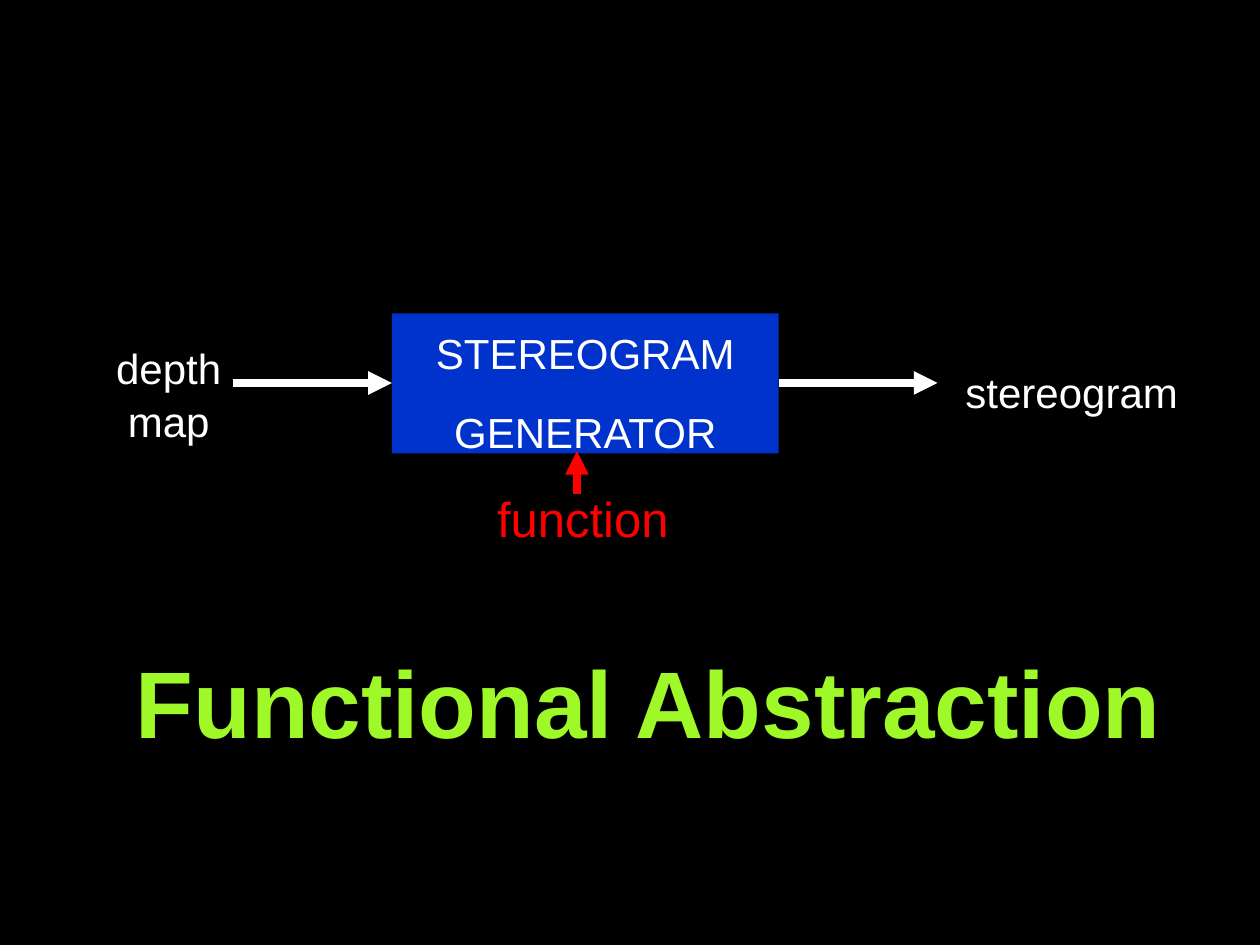
from dataclasses import dataclass

from lxml import etree
from pptx import Presentation
from pptx.dml.color import RGBColor
from pptx.enum.shapes import MSO_CONNECTOR, MSO_SHAPE
from pptx.enum.text import MSO_ANCHOR, PP_ALIGN
from pptx.oxml.ns import qn
from pptx.util import Cm, Pt

RECTANGLE = MSO_SHAPE.RECTANGLE
STRAIGHT = MSO_CONNECTOR.STRAIGHT
TOP = MSO_ANCHOR.TOP
LEFT = PP_ALIGN.LEFT
CENTER = PP_ALIGN.CENTER


@dataclass(frozen=True)
class Theme:
    font: str = "Arial"
    background: str = "000000"
    text: str = "FFFFFF"
    block: str = "0033CC"
    accent: str = "FF0000"
    title: str = "9FF828"
    label_size: int = 24
    accent_size: int = 28
    title_size: int = 54
    arrow_width: float = 4.5
    line_spacing: float = 1.05
    paragraph_gap: int = 15


class Page:
    def __init__(self, deck, theme):
        self.theme = theme
        self.slide = deck.slides.add_slide(deck.slide_layouts[6])
        fill = self.slide.background.fill
        fill.solid()
        fill.fore_color.rgb = RGBColor.from_string(theme.background)

    def add_text(self, box, lines, size, color, align=CENTER, bold=False, wrap=True):
        frame = box.text_frame
        frame.word_wrap = wrap
        frame.vertical_anchor = TOP
        frame.margin_left = frame.margin_right = Cm(0.25)
        frame.margin_top = Cm(0.13 + size / 250)
        frame.margin_bottom = Cm(0)
        for index, line in enumerate(lines):
            para = frame.add_paragraph() if index else frame.paragraphs[0]
            para.alignment = align
            para.line_spacing = self.theme.line_spacing
            if index:
                para.space_before = Pt(self.theme.paragraph_gap)
            span = para.add_run()
            span.text = line
            span.font.name = self.theme.font
            span.font.size = Pt(size)
            span.font.bold = bold
            span.font.color.rgb = RGBColor.from_string(color)

    def block(self, left, top, width, height, lines):
        box = self.slide.shapes.add_shape(
            RECTANGLE, Cm(left), Cm(top), Cm(width), Cm(height))
        box.shadow.inherit = False
        box.fill.solid()
        box.fill.fore_color.rgb = RGBColor.from_string(self.theme.block)
        box.line.fill.background()
        self.add_text(box, lines, self.theme.label_size, self.theme.text)

    def label(self, left, top, width, height, text, size, color, **style):
        box = self.slide.shapes.add_textbox(
            Cm(left), Cm(top), Cm(width), Cm(height))
        self.add_text(box, [text], size, color, **style)

    def arrow(self, start, end, color):
        connector = self.slide.shapes.add_connector(
            STRAIGHT, *(Cm(value) for value in (*start, *end)))
        connector.line.width = Pt(self.theme.arrow_width)
        connector.line.color.rgb = RGBColor.from_string(color)
        properties = connector.element.spPr
        line = properties.find(qn("a:ln"))
        etree.SubElement(line, qn("a:tailEnd"), type="triangle")
        etree.SubElement(properties, qn("a:effectLst"))


def main():
    deck = Presentation()
    deck.slide_width, deck.slide_height = Cm(25.4), Cm(19.05)
    theme = Theme()
    page = Page(deck, theme)

    block_left, block_width = 7.9, 7.8
    block_right = block_left + block_width
    flow_y, flow_length = 7.72, 3.2

    page.block(block_left, 6.32, block_width, 2.82, ["STEREOGRAM", "GENERATOR"])
    page.label(1.9, 6.63, 3, 2.29, "depth map", theme.label_size, theme.text)
    for start in (block_left - flow_length, block_right):
        page.arrow((start, flow_y), (start + flow_length, flow_y), theme.text)
    page.label(19, 7.11, 5.21, 1.27, "stereogram", theme.label_size, theme.text)

    page.label(7.42, 9.55, 8.66, 1.45, "function", theme.accent_size, theme.accent)
    page.arrow((11.63, 9.96), (11.63, 9.09), theme.accent)

    page.label(2.49, 12.52, 21.23, 2.54, "Functional Abstraction",
               theme.title_size, theme.title, align=LEFT, bold=True, wrap=False)

    deck.save("out.pptx")


if __name__ == "__main__":
    main()
